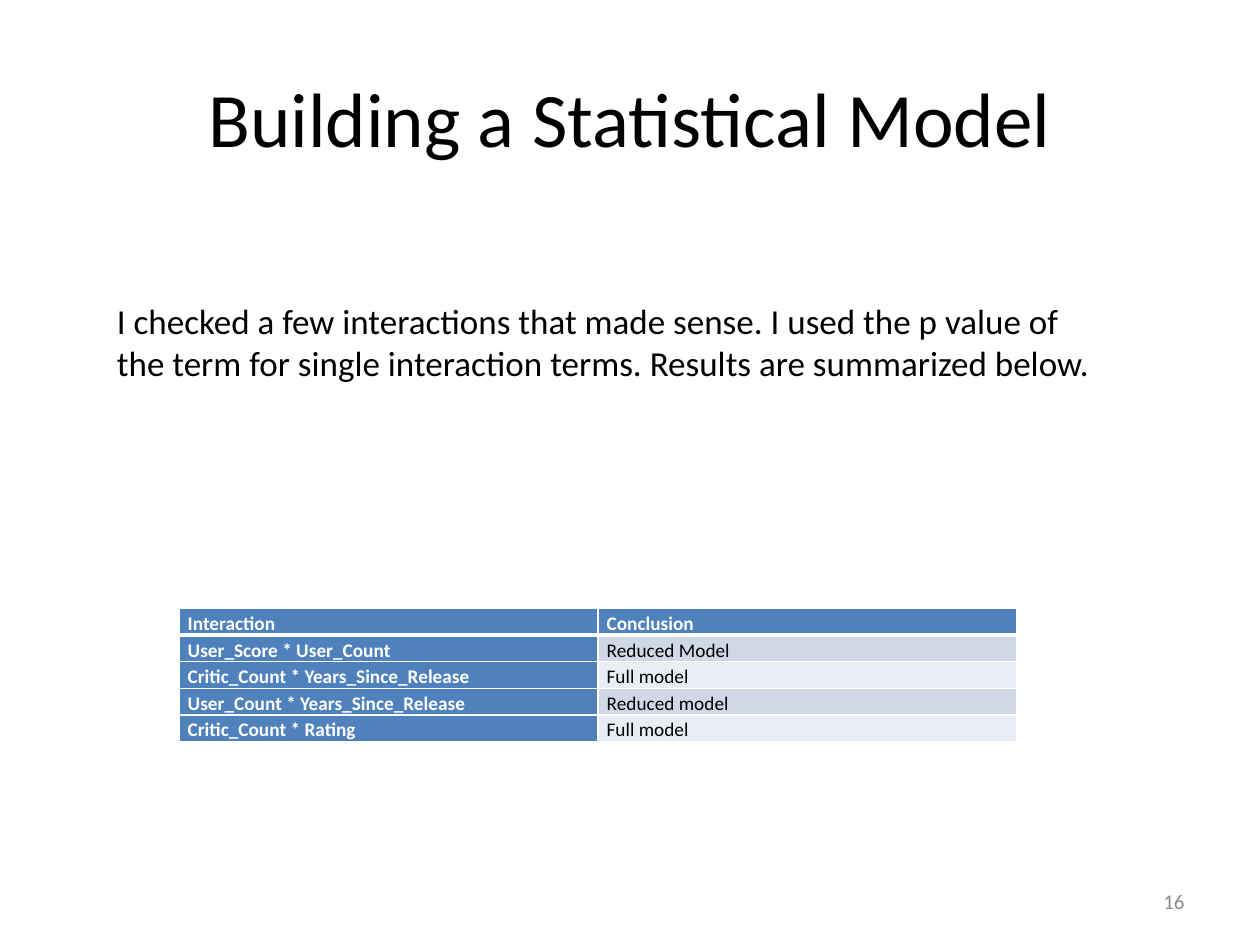
from lxml import etree
from pptx import Presentation
from pptx.dml.color import RGBColor
from pptx.enum import text
from pptx.oxml.ns import qn
from pptx.util import Inches, Pt

FONT = "Calibri"
BLACK, WHITE, GRAY, BLUE = "000000", "FFFFFF", "8C8C8C", "4F81BD"
BANDS = ("D0D8E8", "E9EDF4")
LEFT, CENTER, RIGHT = text.PP_ALIGN.LEFT, text.PP_ALIGN.CENTER, text.PP_ALIGN.RIGHT
TOP, MIDDLE = text.MSO_ANCHOR.TOP, text.MSO_ANCHOR.MIDDLE

TEXTS = [
    ("Building a Statistical Model", (0.5, 0.3, 9, 1.25), 44, BLACK, CENTER, MIDDLE),
    ("I checked a few interactions that made sense. I used the p value of the term "
     "for single interaction terms. Results are summarized below.",
     (0.83, 2.33, 8, 0.77), 20, BLACK, LEFT, TOP),
    ("16", (7.17, 6.95, 2.33, 0.4), 12, GRAY, RIGHT, MIDDLE),
]
ROWS = [
    ("Interaction", "Conclusion"),
    ("User_Score * User_Count", "Reduced Model"),
    ("Critic_Count * Years_Since_Release", "Full model"),
    ("User_Count * Years_Since_Release", "Reduced model"),
    ("Critic_Count * Rating", "Full model"),
]
TABLE_BOX = (1.42, 4.83, 6.65, 1.05)


def rgb(color):
    return RGBColor.from_string(color)


def style(p, size, color, bold=False):
    p.font.name, p.font.size, p.font.bold = FONT, Pt(size), bold
    p.font.color.rgb = rgb(color)


def add_text(s, words, box, size, color, align, anchor):
    tf = s.shapes.add_textbox(*map(Inches, box)).text_frame
    tf.word_wrap = True
    tf.vertical_anchor = anchor
    p = tf.paragraphs[0]
    p.text, p.alignment = words, align
    style(p, size, color)


def add_borders(cell, widths):
    tc_pr = cell._tc.get_or_add_tcPr()
    for i, (side, width) in enumerate(widths.items()):
        ln = etree.Element(qn("a:ln" + side), w=str(Pt(width)))
        fill = etree.SubElement(ln, qn("a:solidFill"))
        etree.SubElement(fill, qn("a:srgbClr"), val=WHITE)
        tc_pr.insert(i, ln)


def fill_cell(cell, words, row, col):
    header = row == 0 or col == 0
    cell.fill.solid()
    cell.fill.fore_color.rgb = rgb(BLUE if header else BANDS[(row - 1) % 2])
    cell.margin_left = cell.margin_right = Inches(0.07)
    cell.margin_top = cell.margin_bottom = 0
    p = cell.text_frame.paragraphs[0]
    p.text, p.line_spacing = words, 1.15
    style(p, 11, WHITE if header else BLACK, header)
    add_borders(cell, {"L": 1, "R": 1, "T": 3 if row == 1 else 1, "B": 3 if row == 0 else 1})


prs = Presentation()
prs.slide_width, prs.slide_height = Inches(10), Inches(7.5)
s = prs.slides.add_slide(prs.slide_layouts[6])

for item in TEXTS:
    add_text(s, *item)

table = s.shapes.add_table(len(ROWS), len(ROWS[0]), *map(Inches, TABLE_BOX)).table
for row, values in enumerate(ROWS):
    for col, words in enumerate(values):
        fill_cell(table.cell(row, col), words, row, col)

prs.save("out.pptx")
